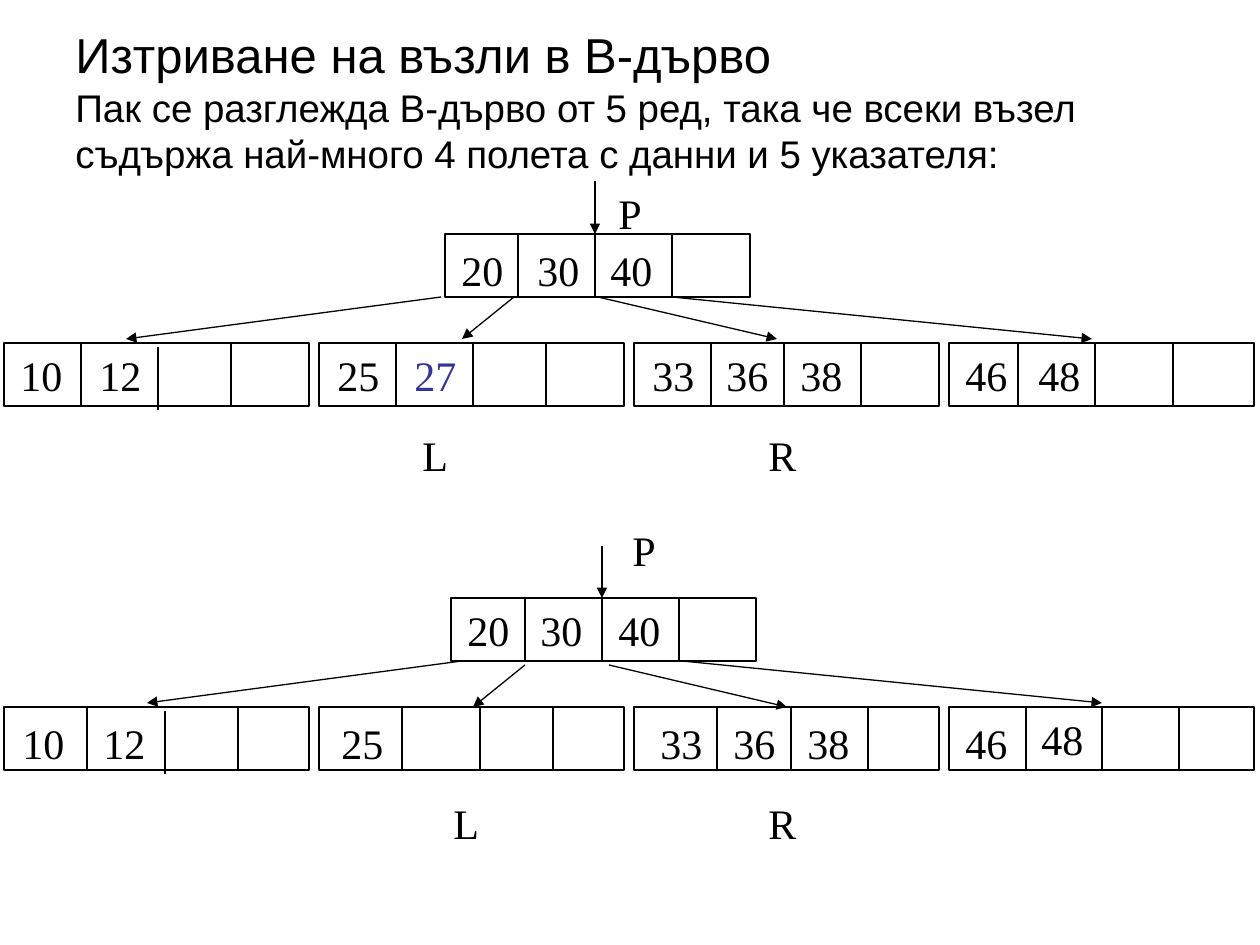
from dataclasses import dataclass

from lxml import etree
from pptx import Presentation
from pptx.dml.color import RGBColor
from pptx.enum.shapes import MSO_CONNECTOR, MSO_SHAPE
from pptx.enum.text import MSO_ANCHOR, MSO_AUTO_SIZE
from pptx.oxml.ns import qn
from pptx.slide import Slide
from pptx.util import Emu, Pt

STRAIGHT = MSO_CONNECTOR.STRAIGHT
RECTANGLE = MSO_SHAPE.RECTANGLE
TOP = MSO_ANCHOR.TOP
GROW = MSO_AUTO_SIZE.SHAPE_TO_FIT_TEXT

BLACK = RGBColor(0x00, 0x00, 0x00)
INDIGO = RGBColor(0x33, 0x33, 0x99)
HEADING_FONT = "Arial"
KEY_FONT = "Times New Roman"

PX_PER_INCH = 126
NODE_WIDTH, NODE_HEIGHT = 305, 63
LEAF_LEFT, LEAF_STEP = 4, 315
KEY_WIDTH, LABEL_WIDTH = 105, 94

HEADING = "Изтриване на възли в В-дърво"
SUBHEADING = (
    "Пак се разглежда В-дърво от 5 ред, така че всеки възел "
    "съдържа най-много 4 полета с данни и 5 указателя:"
)


@dataclass(frozen=True)
class Key:
    text: str
    left: int
    color: RGBColor = BLACK
    rise: int = 0


@dataclass(frozen=True)
class Node:
    dividers: tuple[int, ...]
    keys: tuple[Key, ...]
    middle_drop: int = 0


@dataclass(frozen=True)
class Label:
    text: str
    left: int
    top: int


@dataclass(frozen=True)
class Arrow:
    start: tuple[int, int]
    end: tuple[int, int]


@dataclass(frozen=True)
class Tree:
    root_left: int
    root_top: int
    root_key_top: int
    leaf_top: int
    leaf_key_top: int
    root: Node
    leaves: tuple[Node, ...]
    arrows: tuple[Arrow, ...]
    labels: tuple[Label, ...]


BEFORE = Tree(
    445, 234, 238, 343, 343,
    Node((73, 150, 227), (Key("20", 449), Key("30", 525), Key("40", 598))),
    (
        Node((77, 154, 227), (Key("10", 8), Key("12", 87)), 4),
        Node((77, 154, 227), (Key("25", 325), Key("27", 402, INDIGO))),
        Node((77, 150, 227), (Key("33", 640), Key("36", 714), Key("38", 788))),
        Node((69, 146, 224), (Key("46", 953), Key("48", 1026))),
    ),
    (
        Arrow((595, 181), (595, 234)),
        Arrow((441, 297), (126, 339)),
        Arrow((514, 297), (462, 339)),
        Arrow((598, 297), (777, 339)),
        Arrow((672, 297), (1092, 339)),
    ),
    (Label("Р", 606, 181), Label("L", 410, 423), Label("R", 756, 423)),
)

AFTER = Tree(
    451, 598, 598, 707, 711,
    Node((74, 151, 228), (Key("20", 455), Key("30", 528), Key("40", 606))),
    (
        Node((83, 161, 234), (Key("10", 10), Key("12", 91)), 4),
        Node((83, 161, 234), (Key("25", 329),)),
        Node((83, 157, 234), (Key("33", 648), Key("36", 721), Key("38", 795))),
        Node((77, 153, 230), (Key("46", 953), Key("48", 1029, rise=4))),
    ),
    (
        Arrow((602, 546), (602, 598)),
        Arrow((462, 661), (147, 703)),
        Arrow((525, 665), (473, 707)),
        Arrow((609, 665), (787, 707)),
        Arrow((682, 661), (1102, 703)),
    ),
    (Label("Р", 620, 518), Label("L", 441, 791), Label("R", 756, 791)),
)


def px(length: int) -> Emu:
    return Emu(round(length * 914400 / PX_PER_INCH))


def draw_line(
    page: Slide, start: tuple[int, int], end: tuple[int, int], arrow: bool = False
) -> None:
    line = page.shapes.add_connector(STRAIGHT, *map(px, start + end))
    line.line.color.rgb = BLACK
    line.line.width = Pt(0.75)
    if arrow:
        etree.SubElement(line.line._get_or_add_ln(), qn("a:tailEnd"), type="triangle")
    etree.SubElement(line._element.spPr, qn("a:effectLst"))


def draw_text(
    page: Slide, text: str, left: int, top: int, width: int, color: RGBColor = BLACK
) -> None:
    box = page.shapes.add_textbox(px(left), px(top), px(width), px(NODE_HEIGHT))
    frame = box.text_frame
    frame.word_wrap = True
    frame.auto_size = GROW
    frame.text = text
    para = frame.paragraphs[0]
    para.space_before = Pt(15)
    span = para.runs[0]
    span.font.name = KEY_FONT
    span.font.size = Pt(24)
    span.font.color.rgb = color


def draw_node(page: Slide, node: Node, left: int, top: int, key_top: int) -> None:
    box = page.shapes.add_shape(
        RECTANGLE, px(left), px(top), px(NODE_WIDTH), px(NODE_HEIGHT)
    )
    box.shadow.inherit = False
    box.fill.background()
    box.line.color.rgb = BLACK
    box.line.width = Pt(0.75)
    for index, offset in enumerate(node.dividers):
        divider_top = top + (node.middle_drop if index == 1 else 0)
        x = left + offset
        draw_line(page, (x, divider_top), (x, divider_top + NODE_HEIGHT))
    for key in node.keys:
        draw_text(page, key.text, key.left, key_top - key.rise, KEY_WIDTH, key.color)


def draw_tree(page: Slide, tree: Tree) -> None:
    draw_node(page, tree.root, tree.root_left, tree.root_top, tree.root_key_top)
    for index, leaf in enumerate(tree.leaves):
        left = LEAF_LEFT + index * LEAF_STEP
        draw_node(page, leaf, left, tree.leaf_top, tree.leaf_key_top)
    for arrow in tree.arrows:
        draw_line(page, arrow.start, arrow.end, arrow=True)
    for label in tree.labels:
        draw_text(page, label.text, label.left, label.top, LABEL_WIDTH)


def draw_heading(page: Slide) -> None:
    box = page.shapes.add_textbox(px(63), px(0), px(1113), px(882))
    frame = box.text_frame
    frame.word_wrap = True
    frame.vertical_anchor = TOP
    frame.margin_top = px(25)
    para = frame.paragraphs[0]
    para.text = f"{HEADING}\v{SUBHEADING}"
    for span, size in zip(para.runs, (28, 22)):
        span.font.name = HEADING_FONT
        span.font.size = Pt(size)
        span.font.color.rgb = BLACK


def main() -> None:
    deck = Presentation()
    deck.slide_width, deck.slide_height = px(1260), px(945)
    page = deck.slides.add_slide(deck.slide_layouts[6])
    draw_heading(page)
    for tree in (BEFORE, AFTER):
        draw_tree(page, tree)
    deck.save("out.pptx")


if __name__ == "__main__":
    main()
